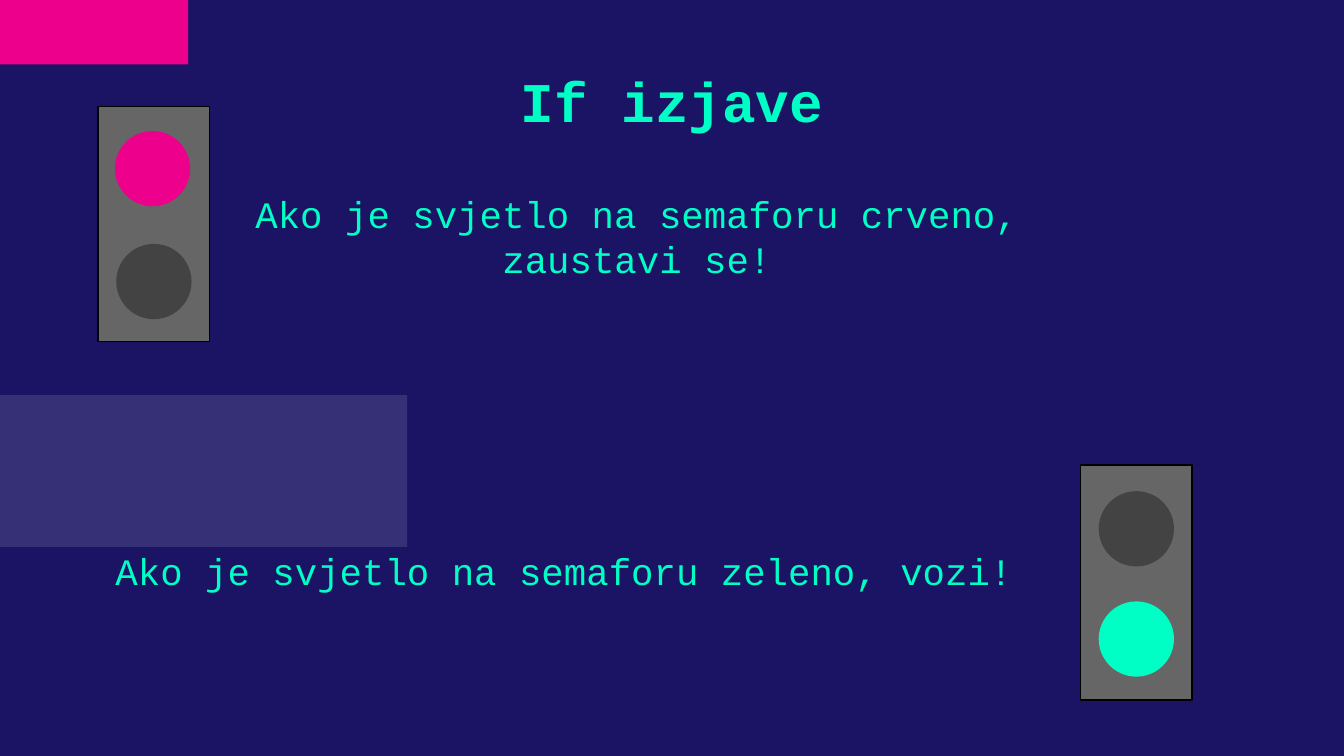
from dataclasses import dataclass

from lxml import etree
from pptx import Presentation
from pptx.dml.color import RGBColor
from pptx.enum import shapes as kinds, text as txt
from pptx.oxml.ns import qn
from pptx.util import Inches, Pt

NAVY = RGBColor(0x1B, 0x14, 0x64)
PINK = RGBColor(0xEC, 0x00, 0x8C)
MINT = RGBColor(0x00, 0xFF, 0xC5)
GREY = RGBColor(0x66, 0x66, 0x66)
DARK = RGBColor(0x43, 0x43, 0x43)
BLACK = RGBColor(0, 0, 0)
WHITE = RGBColor(0xFF, 0xFF, 0xFF)
RECT, OVAL = kinds.MSO_SHAPE.RECTANGLE, kinds.MSO_SHAPE.OVAL
LAMP_SIZE = 0.55


@dataclass(frozen=True)
class Box:
    left: float
    top: float
    width: float
    height: float

    def lengths(self):
        return [Inches(v) for v in (self.left, self.top, self.width, self.height)]


@dataclass(frozen=True)
class Lamp:
    left: float
    top: float
    color: RGBColor


@dataclass(frozen=True)
class TrafficLight:
    housing: Box
    lamps: tuple[Lamp, ...]


@dataclass(frozen=True)
class Rule:
    words: str
    box: Box


BANDS = ((Box(0, 2.94, 3.03, 1.13), WHITE, 12), (Box(0, 0, 1.4, 0.48), PINK, 100))
TRAFFIC_LIGHTS = (
    TrafficLight(Box(0.73, 0.79, 0.83, 1.75),
                 (Lamp(0.86, 0.98, PINK), Lamp(0.87, 1.82, DARK))),
    TrafficLight(Box(8.04, 3.46, 0.83, 1.75),
                 (Lamp(8.18, 3.66, DARK), Lamp(8.18, 4.48, MINT))),
)
RULES = (
    Rule("Ako je svjetlo na semaforu crveno, zaustavi se!", Box(1.14, 1.32, 7.2, 1.05)),
    Rule("Ako je svjetlo na semaforu zeleno, vozi!", Box(0.6, 3.98, 7.2, 1.05)),
)


def draw_shape(slide, kind, box: Box, fill: RGBColor, line: RGBColor | None = None):
    shape = slide.shapes.add_shape(kind, *box.lengths())
    shape.shadow.inherit = False
    shape.fill.solid()
    shape.fill.fore_color.rgb = fill
    if line is None:
        shape.line.fill.background()
    else:
        shape.line.color.rgb = line
        shape.line.width = Pt(0.75)
    return shape


def draw_band(slide, box: Box, color: RGBColor, opacity: int) -> None:
    band = draw_shape(slide, RECT, box, color)
    if opacity < 100:
        rgb = band._element.spPr.find(qn("a:solidFill"))[0]
        etree.SubElement(rgb, qn("a:alpha")).set("val", str(opacity * 1000))


def draw_traffic_light(slide, light: TrafficLight) -> None:
    draw_shape(slide, RECT, light.housing, GREY, BLACK)
    for lamp in light.lamps:
        box = Box(lamp.left, lamp.top, LAMP_SIZE, LAMP_SIZE)
        draw_shape(slide, OVAL, box, lamp.color, lamp.color)


def write(shape, words: str, size: int, bold: bool, anchor) -> None:
    frame = shape.text_frame
    frame_format = {"word_wrap": True, "vertical_anchor": anchor,
                    "auto_size": txt.MSO_AUTO_SIZE.NONE}
    frame_format |= {f"margin_{side}": Inches(0.1)
                     for side in ("left", "top", "right", "bottom")}
    for key, value in frame_format.items():
        setattr(frame, key, value)
    paragraph = frame.paragraphs[0]
    paragraph.alignment = txt.PP_ALIGN.CENTER
    paragraph.line_spacing = 1.0
    run = paragraph.add_run()
    run.text = words
    for key, value in {"name": "Courier New", "size": Pt(size), "bold": bold}.items():
        setattr(run.font, key, value)
    run.font.color.rgb = MINT


def main() -> None:
    deck = Presentation()
    deck.slide_width = Inches(10)
    deck.slide_height = deck.slide_width * 9 // 16
    slide = deck.slides.add_slide(deck.slide_layouts[5])
    slide.background.fill.solid()
    slide.background.fill.fore_color.rgb = NAVY

    # Background bands
    for band in BANDS:
        draw_band(slide, *band)

    # Title
    title = slide.shapes.title
    title.left, title.top, title.width, title.height = Box(1.4, 0.38, 7.2, 0.73).lengths()
    write(title, "If izjave", 30, True, txt.MSO_ANCHOR.MIDDLE)

    # Rules of the road
    for rule in RULES:
        label = slide.shapes.add_textbox(*rule.box.lengths())
        write(label, rule.words, 20, False, txt.MSO_ANCHOR.TOP)

    # Traffic lights
    for light in TRAFFIC_LIGHTS:
        draw_traffic_light(slide, light)

    deck.save("out.pptx")


if __name__ == "__main__":
    main()
